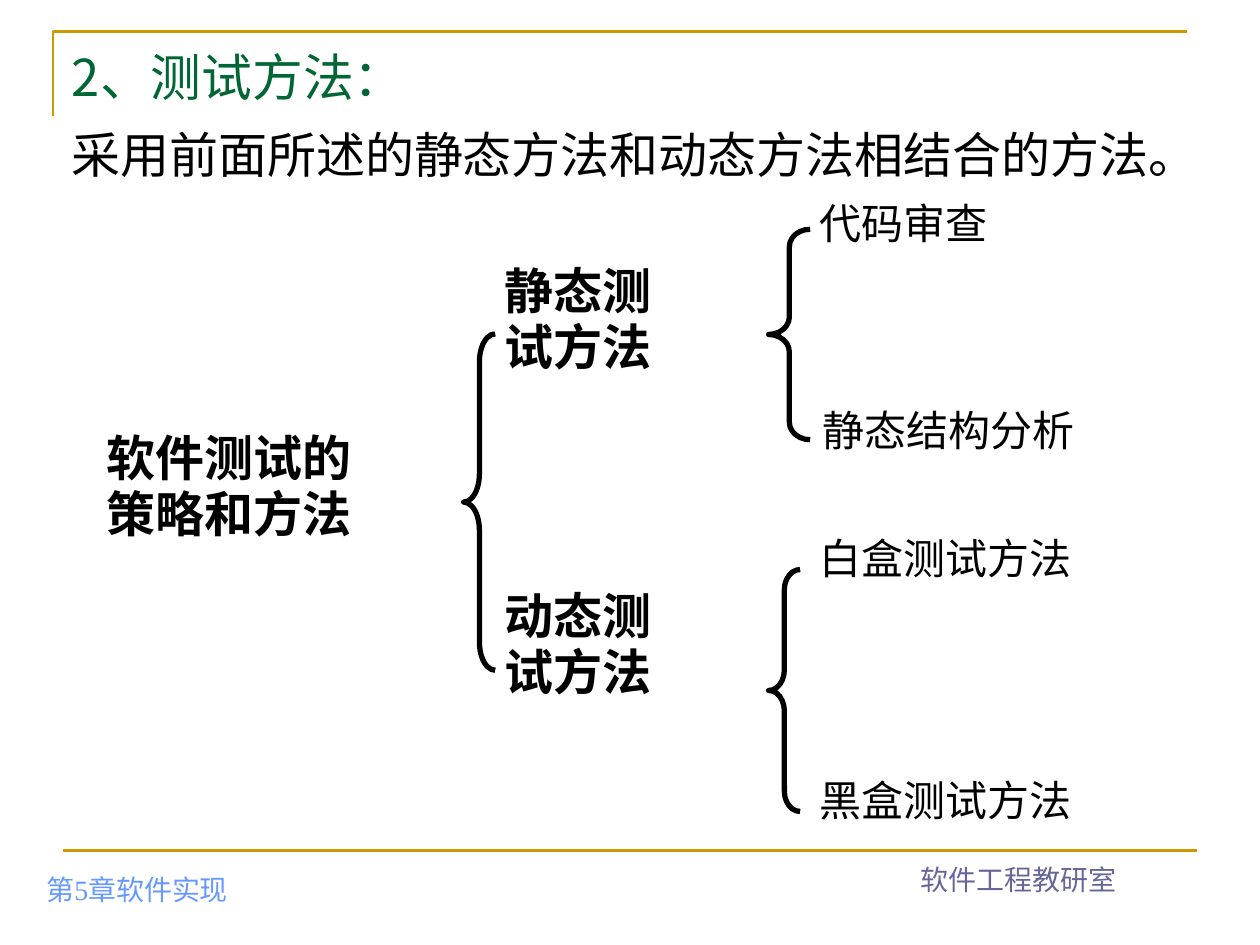
import pptx
import pptx.dml.color
import pptx.enum.shapes
import pptx.enum.text
import pptx.util
from lxml import etree
from pptx.oxml.ns import qn

Inches = pptx.util.Inches
ANCHOR = pptx.enum.text.MSO_ANCHOR
ALIGN = pptx.enum.text.PP_ALIGN

COLORS = {"gold": "CC9900", "green": "006633", "black": "000000",
          "blue": "6699FF", "violet": "666699", "white": "FFFFFF"}
CJK = "Noto Sans CJK SC"


def rgb(name):
    return pptx.dml.color.RGBColor.from_string(COLORS[name])


class SlideBuilder:
    def __init__(self, slide):
        self.slide = slide
        slide.background.fill.solid()
        slide.background.fill.fore_color.rgb = rgb("white")

    def place(self, sp, left, top, width, height):
        sp.left, sp.top = Inches(left), Inches(top)
        sp.width, sp.height = Inches(width), Inches(height)

    def fill_text(self, sp, lines, size, color="black", font=CJK, bold=False,
                  spacing=None, align=ALIGN.LEFT, anchor=ANCHOR.TOP, wrap=True):
        tf = sp.text_frame
        tf.word_wrap = wrap
        tf.auto_size = pptx.enum.text.MSO_AUTO_SIZE.NONE
        tf.vertical_anchor = anchor
        tf.text = "\n".join(lines)
        for p in tf.paragraphs:
            p.alignment = align
            p.line_spacing = spacing
            p.font.size = pptx.util.Pt(size)
            p.font.bold = bold
            p.font.color.rgb = rgb(color)
            p.font.name = font
            props = p._p.pPr.find(qn("a:defRPr"))
            etree.SubElement(props, qn("a:ea")).set("typeface", CJK)

    def title(self, text, box, **style):
        sp = self.slide.shapes.title
        self.place(sp, *box)
        self.fill_text(sp, [text], **style)

    def text(self, lines, box, **style):
        sp = self.slide.shapes.add_textbox(*map(Inches, box))
        self.fill_text(sp, lines, **style)

    def outline(self, sp, color, width):
        sp.line.color.rgb = rgb(color)
        sp.line.width = pptx.util.Pt(width)

    def rule(self, x1, y1, x2, y2):
        line = self.slide.shapes.add_connector(
            pptx.enum.shapes.MSO_CONNECTOR.STRAIGHT,
            *map(Inches, (x1, y1, x2, y2)))
        self.outline(line, "gold", 1.5)
        etree.SubElement(line._element.spPr, qn("a:effectLst"))

    def corner(self, points):
        """Open gold line through the points."""
        start, *rest = [tuple(map(Inches, pt)) for pt in points]
        builder = self.slide.shapes.build_freeform(*start)
        builder.add_line_segments(rest, close=False)
        sp = builder.convert_to_shape()
        sp.fill.background()
        sp.shadow.inherit = False
        self.outline(sp, "gold", 1.5)

    def brace(self, box, curl):
        sp = self.slide.shapes.add_shape(
            pptx.enum.shapes.MSO_SHAPE.LEFT_BRACE, *map(Inches, box))
        sp.adjustments[0] = curl
        sp.fill.background()
        sp.shadow.inherit = False
        self.outline(sp, "black", 3)


def main():
    prs = pptx.Presentation()
    prs.slide_width, prs.slide_height = Inches(10), Inches(7.5)
    s = SlideBuilder(prs.slides.add_slide(prs.slide_layouts[5]))

    s.corner([(0.42, 0.92), (0.42, 0.25), (9.42, 0.25)])
    s.rule(0.5, 6.75, 9.5, 6.75)
    footer = dict(size=16, font="Times New Roman", anchor=ANCHOR.BOTTOM)
    s.text(["第5章软件实现"], (0.27, 6.74, 3.15, 0.5), color="blue", **footer)
    s.text(["软件工程教研室"], (6.5, 6.66, 3.17, 0.5), color="violet",
           align=ALIGN.CENTER, **footer)

    s.title("2、测试方法：", (0.47, 0.31, 3.66, 0.56), size=29, color="green")
    s.text(["采用前面所述的静态方法和动态方法相结合的方法。"],
           (0.47, 0.94, 9.06, 0.57), size=28, font="Arial")

    branches = [
        (["软件测试的", "策略和方法"], 0.75, 3.38, 2.15),
        (["静态测", "试方法"], 3.91, 2.05, 1.37),
        (["动态测", "试方法"], 3.91, 4.63, 1.37),
    ]
    for lines, left, top, width in branches:
        s.text(lines, (left, top, width, 0.99), size=28, bold=True,
               spacing=0.95, wrap=False)

    leaves = [
        ("代码审查", (6.41, 1.55, 1.53, 0.48), "Arial", 0.95),
        ("静态结构分析", (6.43, 3.16, 2.2, 0.5), "Arial", None),
        ("白盒测试方法", (6.41, 4.21, 2.2, 0.48), CJK, 0.95),
        ("黑盒测试方法", (6.41, 6.13, 2.2, 0.48), CJK, 0.95),
    ]
    for label, box, font, spacing in leaves:
        s.text([label], box, size=24, font=font, spacing=spacing, wrap=False)

    s.brace((3.68, 2.65, 0.25, 2.67), 0.89)
    s.brace((6.1, 1.82, 0.33, 1.67), 0.42)
    s.brace((6.1, 4.52, 0.25, 1.92), 0.64)

    prs.save("out.pptx")


if __name__ == "__main__":
    main()
